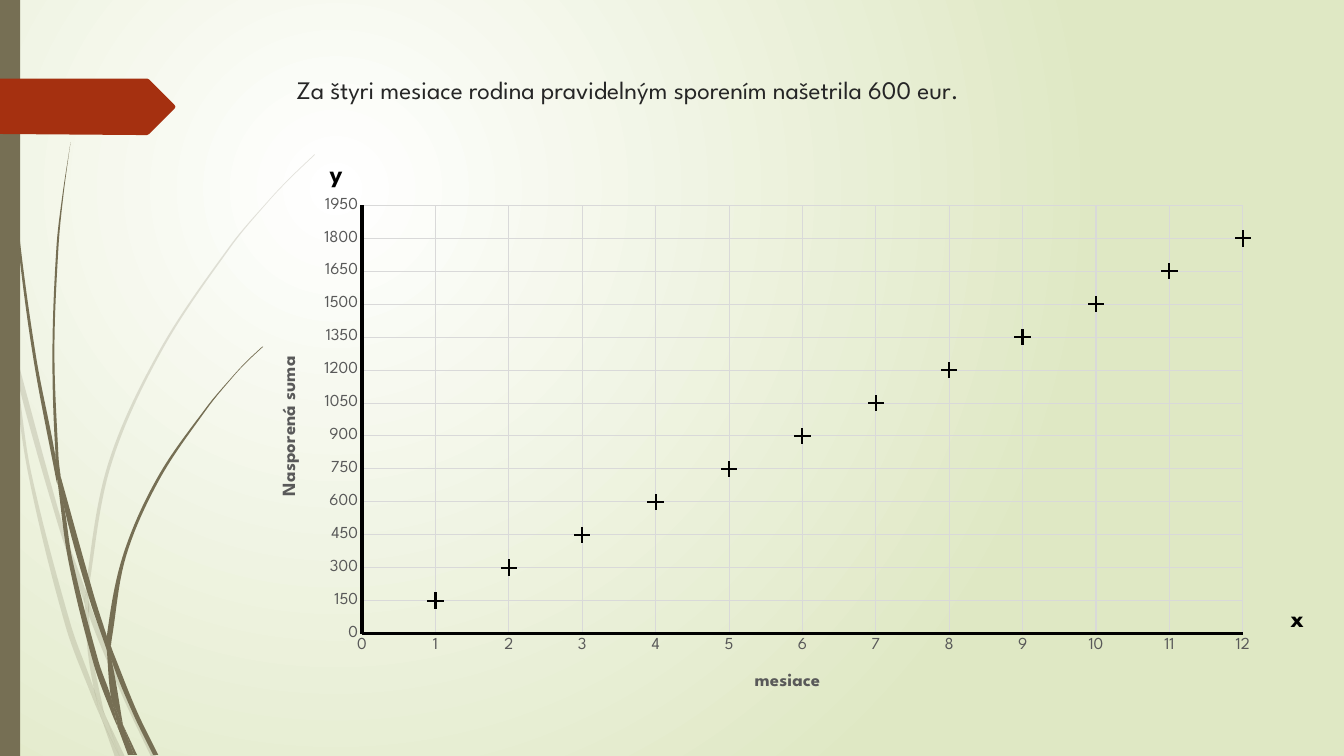
from lxml import etree
from math import dist
from pptx import Presentation
from pptx import util as u
from pptx.chart.data import XyChartData
from pptx.dml.color import RGBColor
from pptx.enum import chart as ch, shapes as sh, text as tx
from pptx.oxml import parse_xml
from pptx.oxml.ns import nsdecls, qn

FONT = "League Spartan"
BLACK = RGBColor(0, 0, 0)
WHITE = RGBColor(0xFF, 0xFF, 0xFF)
LIME = RGBColor(0xDF, 0xE8, 0xC4)
OLIVE = RGBColor(0x76, 0x6F, 0x54)
RUST = RGBColor(0xA5, 0x30, 0x10)
INK = RGBColor(0x26, 0x26, 0x26)
GREY = RGBColor(0x59, 0x59, 0x59)
GRID = RGBColor(0xD9, 0xD9, 0xD9)

# Blades of grass: the two curved sides of each, in inches
PALE = [
    ([(.11, 3.5), (.09, 3.22), (0, 2.82)], [(0, 2.99), (.1, 3.44), (.11, 3.5)]),
    ([(.14, 3.45), (.17, 3.76), (.58, 5.22), (.84, 5.99)], [(.85, 5.86), (.62, 5.2), (.14, 3.45)]),
    ([(.88, 5.96), (.88, 6.1), (1.23, 6.94), (1.5, 7.51)],
     [(1.55, 7.51), (1.27, 6.92), (.92, 6.07), (.88, 5.96)]),
    ([(1.05, 7.11), (1.19, 7.51)], [(1.24, 7.51), (1.05, 7.11)]),
    ([(.11, 3.5), (.28, 4.7), (.65, 6.21), (.92, 6.93), (1.01, 7.14)],
     [(1.01, 7.14), (.99, 7.07), (.93, 6.83), (.7, 6.19), (.31, 4.69), (.17, 3.76), (.11, 3.5)]),
    ([(.84, 5.99), (.87, 6.46), (.93, 6.83), (.96, 6.92), (1.05, 7.11)],
     [(1.05, 7.11), (1.03, 7.06), (.91, 6.46), (.88, 6.1), (.84, 5.99)]),
    ([(3.12, 1.53), (2.89, 1.75), (2.68, 1.97), (2.28, 2.44), (1.58, 3.48), (1.07, 4.61),
      (.85, 5.84), (.88, 5.96)],
     [(.88, 5.96), (.88, 5.84), (1.1, 4.62), (1.6, 3.49), (2.29, 2.45), (2.68, 1.98),
      (2.9, 1.75), (3.12, 1.54)]),
    ([(1.01, 7.14), (1.14, 7.51)], [(1.19, 7.51), (1.01, 7.14)]),
    ([(.85, 5.86), (.84, 5.99), (.88, 6.08)], [(.88, 6.1), (.88, 5.96), (.85, 5.86)]),
    ([(.93, 6.83), (.99, 7.07), (1.01, 7.14), (1.19, 7.51)],
     [(1.19, 7.51), (1.05, 7.11), (.96, 6.92), (.93, 6.83)]),
]
DARK = [
    ([(.03, 0), (.04, .48), (.07, 1.1), (.17, 2.33), (.33, 3.55), (.56, 4.77), (.57, 4.81)],
     [(.57, 4.81), (.55, 4.53), (.36, 3.55), (.19, 2.32), (.08, 1.09), (.05, .48), (.04, 0)]),
    ([(.6, 4.72), (.64, 5.05), (.88, 5.92), (1.06, 6.45)], [(1.06, 6.31), (.93, 5.9), (.6, 4.72)]),
    ([(1.1, 6.41), (1.11, 6.56), (1.32, 7.08), (1.52, 7.49)],
     [(1.57, 7.49), (1.36, 7.06), (1.13, 6.49), (1.1, 6.41)]),
    ([(.57, 4.77), (.68, 5.57), (.93, 6.59), (1.11, 7.08), (1.17, 7.22)],
     [(1.17, 7.22), (1.1, 6.91), (.98, 6.57), (.72, 5.56), (.64, 5.05), (.57, 4.77)]),
    ([(.7, 1.41), (.62, 1.93), (.56, 2.45), (.52, 3.49), (.55, 4.49), (.6, 4.72)],
     [(.6, 4.72), (.58, 4.53), (.54, 3.49), (.58, 2.45), (.63, 1.93), (.7, 1.41)]),
    ([(1.22, 7.19), (1.33, 7.49)], [(1.36, 7.49), (1.22, 7.19)]),
    ([(.55, 4.49), (.55, 4.53), (.57, 4.77), (.64, 5.05)], [(.64, 5.05), (.6, 4.72), (.55, 4.49)]),
    ([(2.6, 3.44), (2.45, 3.58), (2.31, 3.73), (2.04, 4.05), (1.56, 4.74), (1.22, 5.51),
      (1.06, 6.31), (1.1, 6.41)],
     [(1.1, 6.41), (1.11, 6.33), (1.25, 5.52), (1.58, 4.76), (2.05, 4.06), (2.31, 3.74),
      (2.45, 3.59), (2.61, 3.44)]),
    ([(1.17, 7.22), (1.27, 7.49)], [(1.31, 7.49), (1.17, 7.22)]),
    ([(1.06, 6.45), (1.1, 6.91), (1.16, 7.06), (1.22, 7.19)],
     [(1.22, 7.19), (1.11, 6.56), (1.06, 6.45)]),
    ([(1.06, 6.31), (1.06, 6.45), (1.11, 6.56)], [(1.11, 6.56), (1.1, 6.41), (1.06, 6.31)]),
    ([(1.1, 6.91), (1.16, 7.17), (1.17, 7.22), (1.3, 7.49)],
     [(1.33, 7.49), (1.22, 7.19), (1.16, 7.06), (1.1, 6.91)]),
]
TAG = [(0, .78), (1.46, .78), (1.48, .79), (1.73, 1.04), (1.74, 1.06),
       (1.73, 1.08), (1.48, 1.33), (1.46, 1.34), (1.36, 1.34), (0, 1.33)]


def paint(shape, color, alpha=None):
    shape.shadow.inherit = False
    shape.fill.solid()
    shape.fill.fore_color.rgb = color
    shape.line.fill.background()
    if alpha:
        tone = shape.fill._xPr.find(".//" + qn("a:srgbClr"))
        etree.SubElement(tone, qn("a:alpha")).set("val", str(alpha * 1000))


def outline(slide, pts, color, alpha=None):
    pts = [(u.Inches(x), u.Inches(y)) for x, y in pts]
    pen = slide.shapes.build_freeform(*pts[0])
    pen.add_line_segments(pts[1:], close=True)
    shape = pen.convert_to_shape()
    paint(shape, color, alpha)
    return shape


def blade(slide, sides, color, alpha=None):
    shape = outline(slide, sides[0] + sides[1], color, alpha)
    lines = list(shape._element.iter(qn("a:lnTo")))
    first = 0
    for side in sides:
        pts = [(u.Inches(x) - shape.left, u.Inches(y) - shape.top) for x, y in side]
        ends = [pts[0], *pts, pts[-1]]
        for i, (p, q, r, s) in enumerate(zip(ends, ends[1:], ends[2:], ends[3:])):
            bend(lines[first + i], p, q, r, s)
        first += len(side)


def bend(line, p, q, r, s):
    """Turn the straight step q to r into a curve that heads along its neighbours."""
    reach = dist(q, r) / 3
    out, back = reach / dist(p, r), reach / dist(q, s)
    knobs = [[a + (c - b) * out for a, b, c in zip(q, p, r)],
             [a - (c - b) * back for a, b, c in zip(r, q, s)]]
    line.tag = qn("a:cubicBezTo")
    for n, (x, y) in enumerate(knobs):
        line.insert(n, parse_xml(f'<a:pt {nsdecls("a")} x="{round(x)}" y="{round(y)}"/>'))


def label(slide, words, box, color, bold=False, align=tx.PP_ALIGN.LEFT):
    frame = slide.shapes.add_textbox(*map(u.Inches, box)).text_frame
    frame.word_wrap = True
    para = frame.paragraphs[0]
    para.text, para.alignment = words, align
    style(para.font, 18, color, bold)


def style(font, size, color, bold=False):
    font.name, font.size, font.bold = FONT, u.Pt(size), bold
    font.color.rgb = color


def layout(elem, after, x, y, w=None, h=None):
    for old in elem.findall(qn("c:layout")):
        elem.remove(old)
    parts = [("xMode", "edge"), ("yMode", "edge"), ("x", x), ("y", y)]
    if w:
        parts = [("layoutTarget", "inner"), *parts, ("w", w), ("h", h)]
    body = "".join(f'<c:{k} val="{v}"/>' for k, v in parts)
    elem.insert(after, parse_xml(
        f'<c:layout {nsdecls("c")}><c:manualLayout>{body}</c:manualLayout></c:layout>'))


def axis(ax, title, spot, top, step):
    ax.minimum_scale, ax.maximum_scale, ax.major_unit = 0, top, step
    ax.major_tick_mark = ax.minor_tick_mark = ch.XL_TICK_MARK.NONE
    ax.has_major_gridlines = True
    for line, color, width in ((ax.format.line, BLACK, 2.5),
                               (ax.major_gridlines.format.line, GRID, .75)):
        line.color.rgb, line.width = color, u.Pt(width)
    style(ax.tick_labels.font, 12, GREY)
    para = ax.axis_title.text_frame.paragraphs[0]
    para.text = title
    style(para.font, 13.3, GREY, True)
    layout(ax.axis_title._element, 1, *spot)


def graph(slide):
    data = XyChartData()
    sums = data.add_series("Series 1")
    for month in range(1, 13):
        sums.add_data_point(month, 150 * month)
    box = map(u.Inches, (2.03, 1.51, 10.55, 5.62))
    chart = slide.shapes.add_chart(ch.XL_CHART_TYPE.XY_SCATTER, *box, data).chart
    chart.has_legend = chart.has_title = False
    style(chart.font, 10, BLACK)
    chart.plots[0].vary_by_categories = False
    layout(chart._chartSpace.chart.plotArea, 0, .148, .094, .828, .756)
    axis(chart.category_axis, "mesiace", (.514, .91), 12, 1)
    axis(chart.value_axis, "Nasporená suma", (.067, .354), 1950, 150)
    row = chart.plots[0].series[0]
    row.smooth = False
    row.format.line.fill.background()
    mark = row.marker
    mark.style, mark.size = ch.XL_MARKER_STYLE.PLUS, 11
    mark.format.fill.solid()
    mark.format.fill.fore_color.rgb = mark.format.line.color.rgb = BLACK


def backdrop(slide):
    fill = slide.background.fill
    fill.gradient()
    for stop, color, pos in zip(fill.gradient_stops, (WHITE, LIME), (0, 1)):
        stop.color.rgb, stop.position = color, pos
    grad = slide._element.find(".//" + qn("a:gradFill"))
    grad.remove(grad.find(qn("a:lin")))
    grad.append(parse_xml(f'<a:path {nsdecls("a")} path="circle">'
                          '<a:fillToRect l="50000" t="50000" r="100000" b="100000"/></a:path>'))


def main():
    prs = Presentation()
    prs.slide_width, prs.slide_height = u.Inches(13.33), u.Inches(7.5)
    slide = prs.slides.add_slide(prs.slide_layouts[6])
    backdrop(slide)
    # Grass, side bar and arrow tag
    for group, alpha in ((PALE, 20), (DARK, None)):
        for sides in group:
            blade(slide, sides, OLIVE, alpha)
    bar = slide.shapes.add_shape(sh.MSO_SHAPE.RECTANGLE, 0, 0, u.Inches(.2), u.Inches(7.5))
    paint(bar, OLIVE)
    outline(slide, TAG, RUST)
    # Heading, chart and axis letters
    label(slide, "Za štyri mesiace rodina pravidelným sporením našetrila 600 eur.",
          (2.84, .69, 9.75, .56), INK)
    graph(slide)
    for name, x, y in (("x", 12.58, 5.93), ("y", 3.05, 1.51)):
        label(slide, name, (x, y, .57, .4), BLACK, True, tx.PP_ALIGN.CENTER)
    prs.save("out.pptx")


if __name__ == "__main__":
    main()
